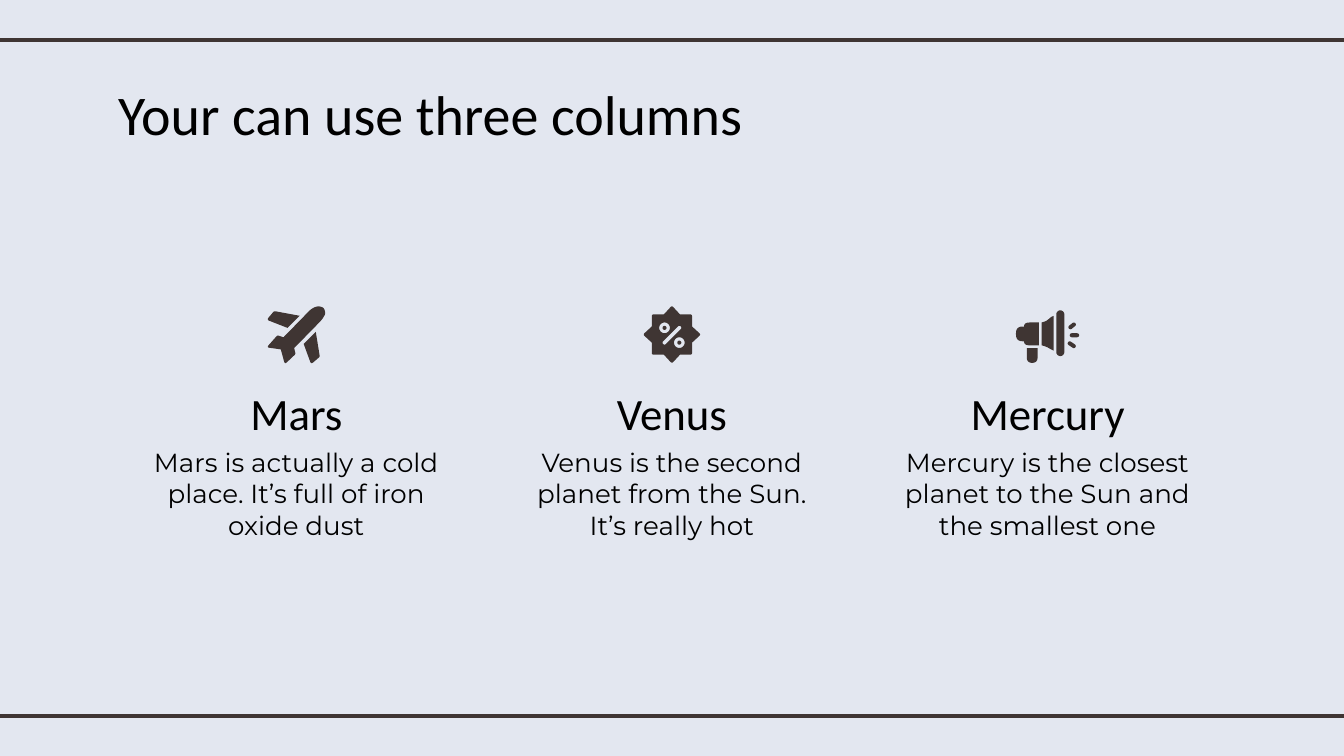
import math

import pptx
import pptx.dml.color
import pptx.enum.shapes
import pptx.enum.text
import pptx.oxml
import pptx.util

WIDTH = 10
HEIGHT = WIDTH * 9 / 16
INK, BACKGROUND, TEXT = "3F3533", "E3E7F0", "000000"
COLUMN_WIDTH, COLUMN_PITCH = 2.33, 2.795
ICON_MIDDLE = 2.49


def color(value):
    return pptx.dml.color.RGBColor.from_string(value)


# Outlines are in hundredths of an inch around the middle of an icon
def rounded(*corners):
    """Polygon whose corners are (x, y) or (x, y, rounding)."""
    points = []
    for index, (x, y, *rounding) in enumerate(corners):
        if not rounding:
            points.append((x, y))
            continue
        ends = []
        for neighbour in (corners[index - 1], corners[(index + 1) % len(corners)]):
            dx, dy = neighbour[0] - x, neighbour[1] - y
            share = min(1, rounding[0] / math.hypot(dx, dy))
            ends.append((x + dx * share, y + dy * share))
        (x0, y0), (x1, y1) = ends
        for step in range(7):
            t = step / 6
            a, b, c = (1 - t) ** 2, 2 * t * (1 - t), t ** 2
            points.append((a * x0 + b * x + c * x1, a * y0 + b * y + c * y1))
    return points


def capsule(x0, y0, x1, y1, radius):
    """Thick line with round ends; a circle if both ends agree."""
    heading = math.atan2(y1 - y0, x1 - x0)
    points = []
    for x, y, start in ((x0, y0, heading + math.pi / 2), (x1, y1, heading - math.pi / 2)):
        for step in range(13):
            angle = start + math.pi * step / 12
            points.append((x + radius * math.cos(angle), y + radius * math.sin(angle)))
    return points


def circle(x, y, radius):
    return capsule(x, y, x, y, radius)


def badge_edge():
    corners, quarter = [], [(0, -21.5, 1.5), (6, -15), (15, -15, 1.5), (15, -6)]
    for _ in range(4):
        corners += quarter
        quarter = [(-y, x, *rounding) for x, y, *rounding in quarter]
    return rounded(*corners)


# Each icon is a list of shapes, each shape a list of outlines
PLANE = [
    [rounded((11, -19, 2), (15, -21, 2), (21.5, -21, 5), (21.5, -15, 1), (19, -11, 2),
             (-1.5, 10), (-0.5, 14.5, 1), (-8.5, 22, 2), (-11.5, 11),
             (-22, 9.5, 2), (-14, 0.5, 1), (-9.5, 2))],
    [rounded((-16.5, -17.5, 1), (2.5, -14), (-6.5, -5), (-22, -11, 2))],
    [rounded((14.5, -2), (5.5, 7), (11, 22, 2), (17.5, 16.5, 1))],
]
BADGE = [
    [circle(5.5, 6, 1.5)],
    [circle(-5.5, -5, 1.5)],
    [badge_edge(), circle(-5.5, -5, 4), circle(5.5, 6, 4), capsule(-5.5, 6, 5.5, -5, 1.5)],
]
MEGAPHONE = [
    [capsule(18, 0.5, 22, 0.5, 1.5)],
    [capsule(16.5, 6.5, 19.5, 8.5, 1.5)],
    [capsule(17, -5.5, 19.5, -7.5, 1.5)],
    [rounded((-6.5, -9), (-17.5, -9, 4), (-17.5, -6), (-23.5, -6, 5), (-23.5, 5, 5),
             (-17.5, 5), (-17.5, 8, 4), (-6.5, 8))],
    [capsule(9.5, -15, 9.5, 13, 3)],
    [rounded((-15.5, 10), (-7.5, 10), (-7.5, 21, 4), (-15.5, 21, 4))],
    [rounded((4.5, -14), (2.5, -13), (-1, -10, 2), (-4.5, -9),
             (-4.5, 8), (-1, 9, 2), (2.5, 11), (4.5, 12))],
]


class Deck:
    def __init__(self):
        self.presentation = pptx.Presentation()
        self.presentation.slide_width = pptx.util.Inches(WIDTH)
        self.presentation.slide_height = pptx.util.Inches(HEIGHT)
        self.slide = self.presentation.slides.add_slide(self.presentation.slide_layouts[6])
        fill = self.slide.background.fill
        fill.solid()
        fill.fore_color.rgb = color(BACKGROUND)

    def rule(self, y):
        line = self.slide.shapes.add_connector(
            pptx.enum.shapes.MSO_CONNECTOR.STRAIGHT,
            *map(pptx.util.Inches, (-0.08, y, WIDTH + 0.08, y)))
        line.line.color.rgb = color(INK)
        line.line.width = pptx.util.Pt(2.25)
        line._element.spPr.append(pptx.oxml.parse_xml(
            '<a:effectLst xmlns:a="http://schemas.openxmlformats.org/drawingml/2006/main"/>'))

    def text(self, words, left, top, width, height, size, font="Calibri", centered=True):
        shape = self.slide.shapes.add_textbox(
            *map(pptx.util.Inches, (left, top, width, height)))
        frame = shape.text_frame
        frame.word_wrap = True
        frame.vertical_anchor = pptx.enum.text.MSO_ANCHOR.TOP
        for side in ("left", "top", "right", "bottom"):
            setattr(frame, "margin_" + side, pptx.util.Inches(0.1))
        paragraph = frame.paragraphs[0]
        align = pptx.enum.text.PP_ALIGN
        paragraph.alignment = align.CENTER if centered else align.LEFT
        run = paragraph.add_run()
        run.text = words
        run.font.name = font
        run.font.size = pptx.util.Pt(size)
        run.font.color.rgb = color(TEXT)

    def icon(self, parts, center):
        for outlines in parts:
            placed = [[(pptx.util.Inches(center + x / 100), pptx.util.Inches(ICON_MIDDLE + y / 100))
                       for x, y in outline] for outline in outlines]
            builder = self.slide.shapes.build_freeform(*placed[0][0])
            builder.add_line_segments(placed[0][1:], close=True)
            for hole in placed[1:]:
                builder.move_to(*hole[0])
                builder.add_line_segments(hole[1:], close=True)
            shape = builder.convert_to_shape()
            shape.shadow.inherit = False
            shape.fill.solid()
            shape.fill.fore_color.rgb = color(INK)
            shape.line.fill.background()

    def column(self, index, heading, body, parts):
        center = WIDTH / 2 + (index - 1) * COLUMN_PITCH
        left = center - COLUMN_WIDTH / 2
        self.text(heading, left, 2.77, COLUMN_WIDTH, 0.49, 24)
        self.text(body, left, 3.22, COLUMN_WIDTH, 0.89, 14, "Montserrat")
        self.icon(parts, center)


def main():
    deck = Deck()

    # Frame lines and title
    for y in (0.3, 5.33):
        deck.rule(y)
    deck.text("Your can use three columns", 0.78, 0.49, 7.28, 0.63, 30, centered=False)

    # Three planets
    planets = [
        ("Mars", "Mars is actually a cold place. It’s full of iron oxide dust", PLANE),
        ("Venus", "Venus is the second planet from the Sun. It’s really hot", BADGE),
        ("Mercury", "Mercury is the closest planet to the Sun and the smallest one", MEGAPHONE),
    ]
    for index, planet in enumerate(planets):
        deck.column(index, *planet)

    deck.presentation.save("out.pptx")


if __name__ == "__main__":
    main()
